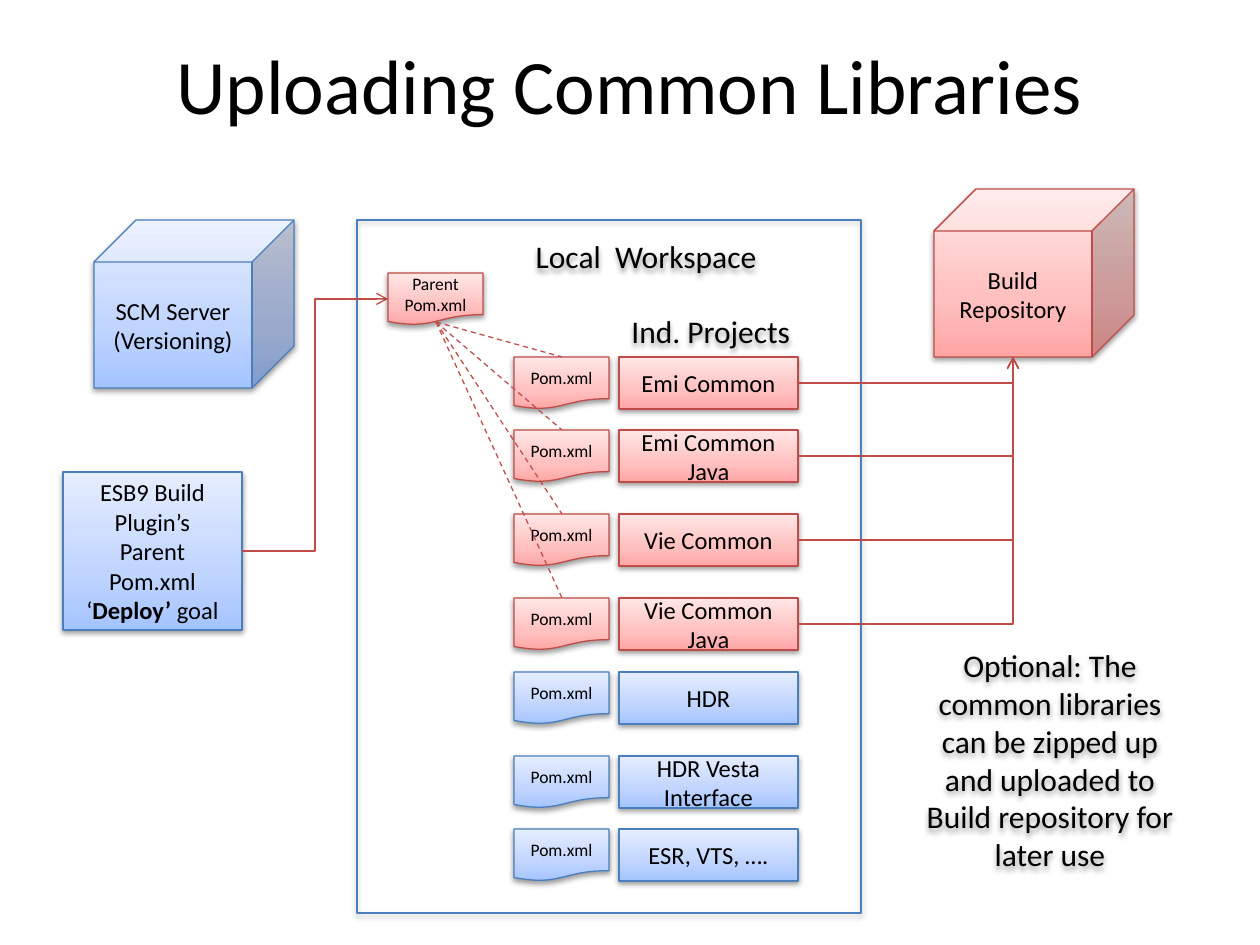
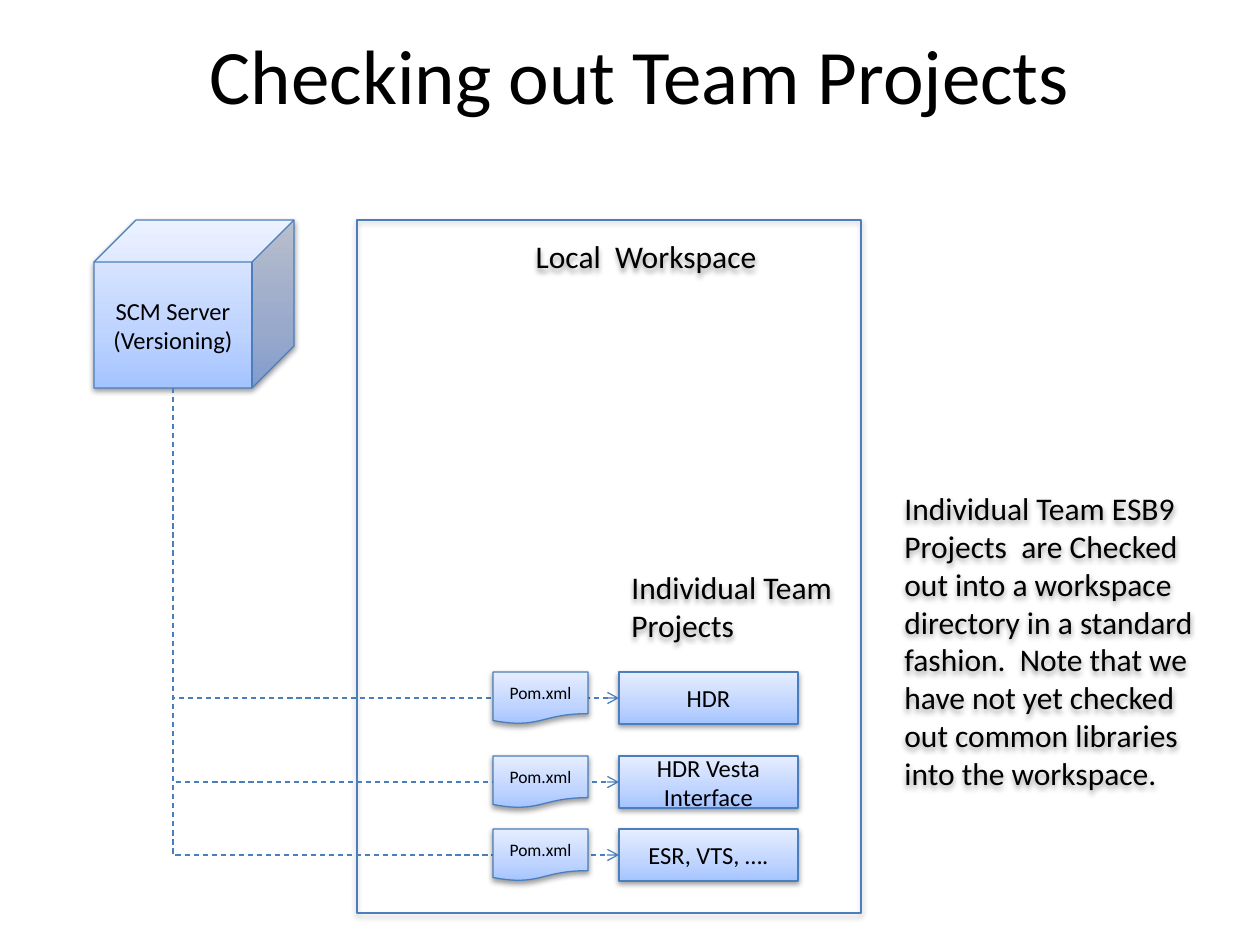
from lxml import etree
from pptx import Presentation
from pptx import util as u
from pptx.dml.color import RGBColor
from pptx.enum import dml, shapes, text
from pptx.oxml.ns import qn

SCALE = 914400 / 126
FONT = "Calibri"
BLACK = "000000"
BLUE = {"line": "4B7EBC", "stops": [(0, "A4C4FF"), (35, "BFD4FF"), (100, "E6EEFF")]}
RED = {"line": "BF4C48", "stops": [(0, "FFA6A5"), (35, "FFC0BF"), (100, "FFE7E7")]}
LINK_RED = "C0504D"
RECT = shapes.MSO_SHAPE.FLOWCHART_PROCESS
DOCUMENT = shapes.MSO_SHAPE.FLOWCHART_DOCUMENT
CUBE = shapes.MSO_SHAPE.CUBE
CENTER, LEFT = text.PP_ALIGN.CENTER, text.PP_ALIGN.LEFT
RIGHT_SITE, LEFT_SITE, CUBE_BOTTOM_SITE = 3, 1, 3

WORKSPACE = (357, 220, 504, 693)
SCM_BOX = (94, 220, 200, 168)
ROW_HEIGHT = 52
COMMON_LIBRARIES = [("Emi Common", 357), ("Emi Common Java", 430),
                    ("Vie Common", 514), ("Vie Common Java", 598)]
TEAM_PROJECTS = [("HDR", 672), ("HDR Vesta Interface", 756), ("ESR, VTS, ….", 829)]


def px(length):
    return u.Emu(round(length * SCALE))


def color(value):
    return RGBColor.from_string(value)


def child(parent, tag, **attributes):
    return etree.SubElement(parent, qn(tag), {k: str(v) for k, v in attributes.items()})


def add_shadow(shape):
    shape.shadow.inherit = False
    effects = shape.element.spPr.find(qn("a:effectLst"))
    outer = child(effects, "a:outerShdw", blurRad=40000, dist=20000, dir=5400000, rotWithShape=0)
    child(child(outer, "a:srgbClr", val=BLACK), "a:alpha", val=38000)


def add_gradient(shape, stops):
    shape.fill.gradient()
    shape.fill.gradient_angle = 90
    stop_list = shape.element.spPr.find(qn("a:gradFill")).find(qn("a:gsLst"))
    for stop in list(stop_list):
        stop_list.remove(stop)
    for position, value in stops:
        child(child(stop_list, "a:gs", pos=position * 1000), "a:srgbClr", val=value)


def write(shape, lines, size, align=CENTER):
    frame = shape.text_frame
    for index, line in enumerate(lines):
        paragraph = frame.paragraphs[0] if index == 0 else frame.add_paragraph()
        paragraph.alignment = align
        for part, words in enumerate(line.split("**")):
            run = paragraph.add_run()
            run.text = words
            run.font.name = FONT
            run.font.size = u.Pt(size)
            run.font.bold = part % 2 == 1
            run.font.color.rgb = color(BLACK)


def add_block(slide, kind, box, palette, lines=(), size=14, filled=True):
    block = slide.shapes.add_shape(kind, *map(px, box))
    if filled:
        add_gradient(block, palette["stops"])
    else:
        block.fill.background()
    block.line.color.rgb = color(palette["line"])
    block.line.width = u.Pt(0.75)
    add_shadow(block)
    block.text_frame.word_wrap = True
    block.text_frame.vertical_anchor = text.MSO_ANCHOR.MIDDLE
    write(block, lines, size)
    return block


def add_label(slide, box, lines, align=CENTER, wrap=True):
    label = slide.shapes.add_textbox(*map(px, box))
    label.text_frame.word_wrap = wrap
    add_shadow(label)
    write(label, lines, 18, align)


def add_title(slide, box, words):
    title = slide.shapes.title
    title.left, title.top, title.width, title.height = map(px, box)
    title.text_frame.auto_size = text.MSO_AUTO_SIZE.NONE
    title.text_frame.vertical_anchor = text.MSO_ANCHOR.TOP
    write(title, [words], 44)


def add_link(slide, start, end, line_color, preset=None, dashed=False, arrow=True):
    kind = shapes.MSO_CONNECTOR.ELBOW if preset else shapes.MSO_CONNECTOR.STRAIGHT
    link = slide.shapes.add_connector(kind, *map(px, start + end))
    properties = link.element.spPr
    if preset:
        properties.find(qn("a:prstGeom")).set("prst", preset)
    link.line.color.rgb = color(line_color)
    link.line.width = u.Pt(0.75)
    if dashed:
        link.line.dash_style = dml.MSO_LINE.DASH
    if arrow:
        child(properties.find(qn("a:ln")), "a:tailEnd", type="arrow")
    child(properties, "a:effectLst")
    return link


def glue(link, source, source_site, target, target_site, start, end):
    link.begin_connect(source, source_site)
    link.end_connect(target, target_site)
    link.begin_x, link.begin_y = map(px, start)
    link.end_x, link.end_y = map(px, end)


def before_quarter_turn(start, end):
    middle_x, middle_y = (start[0] + end[0]) / 2, (start[1] + end[1]) / 2
    half_run, half_drop = (end[0] - start[0]) / 2, (end[1] - start[1]) / 2
    return ((middle_x + half_drop, middle_y - half_run),
            (middle_x - half_drop, middle_y + half_run))


def cube_bottom(box):
    left, top, width, height = box
    return left + (width - height / 4) / 2, top + height


def add_workspace(slide, box):
    left, top, width, height = box
    add_block(slide, RECT, box, BLUE, filled=False)
    add_label(slide, (left + 84, top + 11, 410, 50), ["Local  Workspace"])


def add_scm_server(slide):
    return add_block(slide, CUBE, SCM_BOX, BLUE, ["SCM Server", "(Versioning)"])


def add_project(slide, top, name, palette):
    return add_block(slide, RECT, (619, top, 179, ROW_HEIGHT), palette, [name])


def add_pom(slide, left, top, palette, name="Pom.xml"):
    add_block(slide, DOCUMENT, (left, top, 95, ROW_HEIGHT), palette, [name], 10)


def build_upload_slide(slide):
    add_title(slide, (84, 31, 1092, 106), "Uploading Common Libraries")
    add_workspace(slide, WORKSPACE)
    add_label(slide, (619, 306, 185, 50), ["Ind. Projects"], LEFT, wrap=False)
    add_scm_server(slide)
    repository_box = (934, 189, 200, 168)
    repository = add_block(slide, CUBE, repository_box, RED, ["Build", "Repository"])
    add_block(slide, RECT, (63, 472, 179, 158), BLUE,
              ["ESB9 Build Plugin’s", "Parent Pom.xml ‘**Deploy’** goal"])

    for name, top in TEAM_PROJECTS:
        add_project(slide, top, name, BLUE)
        add_pom(slide, 514, top, BLUE)

    intake = cube_bottom(repository_box)
    for name, top in COMMON_LIBRARIES:
        library = add_project(slide, top, name, RED)
        add_pom(slide, 514, top, RED)
        start = (798, top + ROW_HEIGHT / 2)
        upload = add_link(slide, start, intake, RED["line"], "bentConnector2")
        glue(upload, library, RIGHT_SITE, repository, CUBE_BOTTOM_SITE, start, intake)

    add_link(slide, (242, 551), (388, 299), RED["line"], "bentConnector3")
    add_pom(slide, 388, 273, RED, "Parent Pom.xml")
    for name, top in COMMON_LIBRARIES:
        add_link(slide, (436, 322), (562, top), LINK_RED, dashed=True, arrow=False)
    add_label(slide, (903, 640, 294, 242),
              ["Optional: The common libraries can be zipped up and uploaded to "
               "Build repository for later use"])


def build_checkout_slide(slide):
    add_title(slide, (42, 21, 1196, 106), "Checking out Team Projects")
    add_workspace(slide, WORKSPACE)
    add_label(slide, (619, 562, 236, 89), ["Individual Team", "Projects"], LEFT, wrap=False)
    server = add_scm_server(slide)
    outlet = cube_bottom(SCM_BOX)
    for name, top in TEAM_PROJECTS:
        project = add_project(slide, top, name, BLUE)
        start, end = before_quarter_turn(outlet, (619, top + ROW_HEIGHT / 2))
        checkout = add_link(slide, start, end, BLUE["line"], "bentConnector2", dashed=True)
        glue(checkout, server, CUBE_BOTTOM_SITE, project, LEFT_SITE, start, end)
        checkout.element.spPr.find(qn("a:xfrm")).set("rot", "16200000")
        add_pom(slide, 493, top, BLUE)
    add_label(slide, (892, 483, 336, 318),
              ["Individual Team ESB9 Projects  are Checked out into a workspace directory "
               "in a standard fashion.  Note that we have not yet checked out common "
               "libraries into the workspace."], LEFT)


deck = Presentation()
deck.slide_width, deck.slide_height = px(1260), px(945)
title_only = deck.slide_layouts[5]
for build in (build_upload_slide, build_checkout_slide):
    build(deck.slides.add_slide(title_only))
deck.save("out.pptx")
